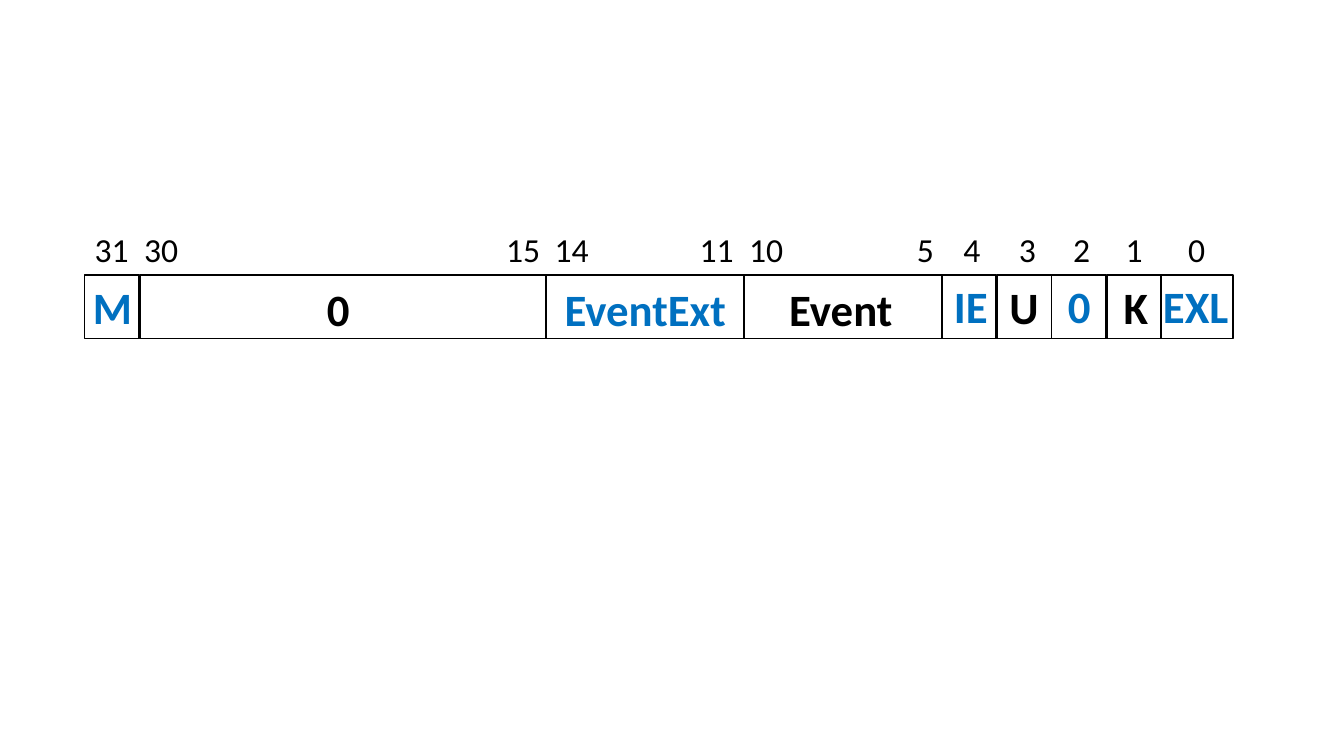
"""Draw the bit layout of a 32-bit control register."""
from lxml.etree import SubElement
from pptx import Presentation
from pptx.dml.color import RGBColor
from pptx.enum.shapes import MSO_SHAPE as Shape
from pptx.enum.text import MSO_AUTO_SIZE as Fit, PP_ALIGN as Align
from pptx.oxml.ns import qn
from pptx.util import Inches, Pt

COLORS = {"black": "000000", "blue": "0070C0"}
FONT = "Calibri"
TOP, HIGH = 2.73, 0.63

# name, color, cell left, cell width, label left, label top, label width
FIELDS = [
    ("M", "blue", 0.84, 0.54, 0.82, 2.73, 0.59),
    ("0", "black", 1.39, 4.03, 3.14, 2.75, 0.43),
    ("EventExt", "blue", 5.41, 1.97, 5.49, 2.75, 1.82),
    ("Event", "black", 7.38, 1.97, 7.72, 2.75, 1.24),
    ("IE", "blue", 9.34, 0.54, 9.36, 2.72, 0.54),
    ("U", "black", 9.89, 0.54, 9.91, 2.73, 0.49),
    ("0", "blue", 10.43, 0.54, 10.49, 2.72, 0.43),
    ("K", "black", 10.98, 0.54, 11.04, 2.73, 0.45),
    ("EXL", "blue", 11.51, 0.72, 11.43, 2.72, 0.86),
]
BITS = [
    ("31", 1.11), ("30", 1.6), ("15", 5.19), ("14", 5.67),
    ("11", 7.11), ("10", 7.6), ("5", 9.18), ("4", 9.64),
    ("3", 10.19), ("2", 10.73), ("1", 11.25), ("0", 11.87),
]
BOX = (0.84, 2.22, 11.45, 0.5)
INSET = 0.1


def paint(name):
    return RGBColor.from_string(COLORS[name])


def add_cell(slide, left, width):
    cell = slide.shapes.add_shape(
        Shape.RECTANGLE, *map(Inches, (left, TOP, width, HIGH)))
    cell.shadow.inherit = False
    cell.fill.background()
    cell.line.color.rgb = paint("black")
    cell.line.width = Pt(1)


def add_text(slide, box, text, size, color, bold=False, wrap=False, tabs=()):
    frame = slide.shapes.add_textbox(*map(Inches, box)).text_frame
    frame.word_wrap = wrap
    frame.auto_size = Fit.SHAPE_TO_FIT_TEXT
    para = frame.paragraphs[0]
    para.text = text
    para.alignment = Align.LEFT if tabs else Align.CENTER
    if tabs:
        stops = SubElement(para._p.get_or_add_pPr(), qn("a:tabLst"))
        for stop in tabs:
            SubElement(stops, qn("a:tab"), pos=str(Inches(stop)), algn="ctr")
    font = para.font
    font.name, font.size, font.bold = FONT, Pt(size), bold
    font.color.rgb = paint(color)


def main():
    deck = Presentation()
    deck.slide_width, deck.slide_height = Inches(13.33), Inches(7.5)
    slide = deck.slides.add_slide(deck.slide_layouts[6])
    for name, color, left, width, start, top, span in FIELDS:
        add_cell(slide, left, width)
        add_text(slide, (start, top, span, 0.64), name, 32, color, bold=True)
    tabs = [mid - BOX[0] - INSET for bit, mid in BITS[1:]]
    text = "\t".join(bit for bit, mid in BITS)
    add_text(slide, BOX, text, 24, "black", wrap=True, tabs=tabs)
    deck.save("out.pptx")


if __name__ == "__main__":
    main()
